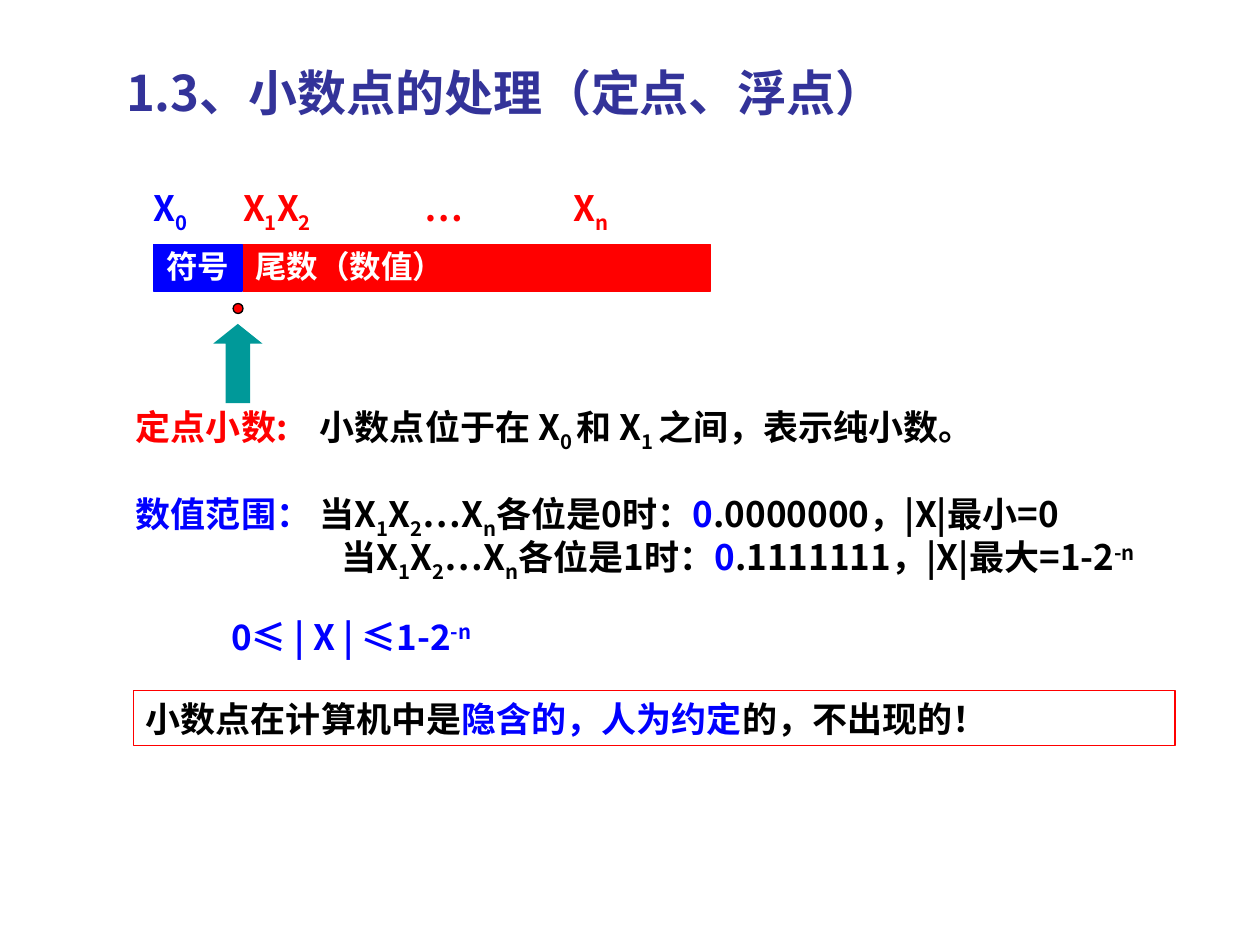
from dataclasses import dataclass

from lxml.etree import SubElement
from pptx import Presentation
from pptx.dml.color import RGBColor
from pptx.enum.shapes import MSO_SHAPE
from pptx.enum.text import MSO_ANCHOR, MSO_AUTO_SIZE, PP_ALIGN
from pptx.oxml.ns import qn
from pptx.util import Cm, Pt


@dataclass(frozen=True)
class Theme:
    font: str = "Noto Sans CJK SC"
    title: str = "333399"
    red: str = "FF0000"
    blue: str = "0000FF"
    black: str = "000000"
    white: str = "FFFFFF"
    teal: str = "009999"
    title_size: int = 28
    body_size: int = 20
    field_size: int = 18


THEME = Theme()
SUB, SUP = -25000, 30000
FRAME_FORMAT = {
    "word_wrap": True,
    "auto_size": MSO_AUTO_SIZE.NONE,
    "vertical_anchor": MSO_ANCHOR.TOP,
    "margin_left": Cm(0.25),
    "margin_right": Cm(0),
    "margin_top": Cm(0.13),
    "margin_bottom": Cm(0.13),
}


def apply_format(target, values):
    for name, value in values.items():
        setattr(target, name, value)


def format_frame(frame, **changes):
    apply_format(frame, FRAME_FORMAT | changes)
    return frame


def add_tabs(paragraph, positions):
    tabs = SubElement(paragraph._p.get_or_add_pPr(), qn("a:tabLst"))
    for position in positions:
        SubElement(tabs, qn("a:tab"), pos=str(Cm(position)), algn="l")


def write_paragraph(paragraph, pieces, size, tabs=(), indent=0, **spacing):
    """Each piece is (text, colour) or (text, colour, baseline)."""
    if tabs:
        add_tabs(paragraph, tabs)
    if indent:
        paragraph._p.get_or_add_pPr().set("marL", str(Cm(indent)))
    apply_format(paragraph, {"alignment": PP_ALIGN.LEFT} | spacing)
    for text, colour, *baseline in pieces:
        run = paragraph.add_run()
        run.text = text
        apply_format(run.font, {"name": THEME.font, "size": Pt(size), "bold": True})
        run.font.color.rgb = RGBColor.from_string(colour)
        properties = run.font._element
        SubElement(properties, qn("a:ea"), typeface=THEME.font)
        if baseline:
            properties.set("baseline", str(baseline[0]))


def add_text_area(slide, box):
    area = slide.shapes.add_textbox(*map(Cm, box))
    return format_frame(area.text_frame)


def add_figure(slide, preset, box, fill=None, line=None):
    figure = slide.shapes.add_shape(preset, *map(Cm, box))
    figure.shadow.inherit = False
    if fill:
        figure.fill.solid()
        figure.fill.fore_color.rgb = RGBColor.from_string(fill)
    else:
        figure.fill.background()
    if line:
        figure.line.color.rgb = RGBColor.from_string(line)
        figure.line.width = Pt(0.75)
    else:
        figure.line.fill.background()
    return figure


def add_field(slide, box, label, colour):
    field = add_figure(slide, MSO_SHAPE.RECTANGLE, box, colour, colour)
    frame = format_frame(field.text_frame, word_wrap=False)
    write_paragraph(frame.paragraphs[0], [(label, THEME.white)],
                    THEME.field_size, line_spacing=0.9)


def add_title(slide):
    title = slide.shapes.title
    apply_format(title, {"left": Cm(2.29), "top": Cm(1.12),
                         "width": Cm(17.8), "height": Cm(1.45)})
    frame = format_frame(title.text_frame, vertical_anchor=MSO_ANCHOR.MIDDLE)
    write_paragraph(frame.paragraphs[0],
                    [("1.3、小数点的处理（定点、浮点）", THEME.title)], THEME.title_size)


def add_number_format(slide):
    # Bit names above the fields
    names = add_text_area(slide, (2.85, 3.63, 14.65, 1.22))
    red = THEME.red
    write_paragraph(
        names.paragraphs[0],
        [("X", THEME.blue), ("0", THEME.blue, SUB),
         ("\tX", red), ("1", red, SUB), ("X", red), ("2", red, SUB),
         ("\t…\tX", red), ("n", red, SUB)],
        THEME.body_size, tabs=(1.8, 5.46, 8.46))

    # Sign and mantissa fields
    add_field(slide, (4.9, 4.93, 9.42, 0.94), "尾数（数值）", THEME.red)
    add_field(slide, (3.1, 4.93, 1.78, 0.94), "符号", THEME.blue)

    # Binary point and the arrow that marks it
    add_figure(slide, MSO_SHAPE.OVAL, (4.7, 6.12, 0.2, 0.2), THEME.red, THEME.black)
    arrow = add_figure(slide, MSO_SHAPE.UP_ARROW, (4.3, 6.53, 0.99, 1.6), THEME.teal)
    arrow.adjustments[1] = 0.4


def range_case(bit, digits, result):
    black = THEME.black
    return [("当X", black), ("1", black, SUB), ("X", black), ("2", black, SUB),
            ("…X", black), ("n", black, SUB), (f"各位是{bit}时：", black),
            ("0", THEME.blue), (f".{digits}，|X|{result}", black)]


def add_explanation(slide):
    black, blue = THEME.black, THEME.blue
    column = (3.71,)
    lines = [
        ([("定点小数:\t", THEME.red), ("小数点位于在 X", black), ("0 ", black, SUB),
          ("和 X", black), ("1 ", black, SUB), ("之间，表示纯小数。", black)],
         {"tabs": column}),
        ([("数值范围：\t", blue)] + range_case(0, "0000000", "最小=0"),
         {"tabs": column, "space_before": Pt(28)}),
        (range_case(1, "1111111", "最大=1-2") + [("-n", black, SUP)],
         {"indent": 4.15, "space_before": Pt(3)}),
        ([("0≤ | X | ≤1-2", blue), ("-n", blue, SUP)],
         {"indent": 1.92, "space_before": Pt(25.5)}),
    ]
    frame = add_text_area(slide, (2.49, 8.13, 22.5, 5.6))
    for number, (pieces, layout) in enumerate(lines):
        paragraph = frame.add_paragraph() if number else frame.paragraphs[0]
        write_paragraph(paragraph, pieces, THEME.body_size,
                        line_spacing=0.8, **layout)


def add_conclusion(slide):
    box = add_figure(slide, MSO_SHAPE.RECTANGLE, (2.69, 13.92, 21, 1.11),
                     line=THEME.red)
    frame = format_frame(box.text_frame, vertical_anchor=MSO_ANCHOR.MIDDLE)
    write_paragraph(frame.paragraphs[0],
                    [("小数点在计算机中是", THEME.black), ("隐含的，人为约定", THEME.blue),
                     ("的，不出现的！", THEME.black)], THEME.body_size)


def main():
    deck = Presentation()
    apply_format(deck, {"slide_width": Cm(25.4), "slide_height": Cm(19.05)})
    slide = deck.slides.add_slide(deck.slide_layouts[5])
    add_title(slide)
    add_number_format(slide)
    add_explanation(slide)
    add_conclusion(slide)
    deck.save("out.pptx")


if __name__ == "__main__":
    main()
